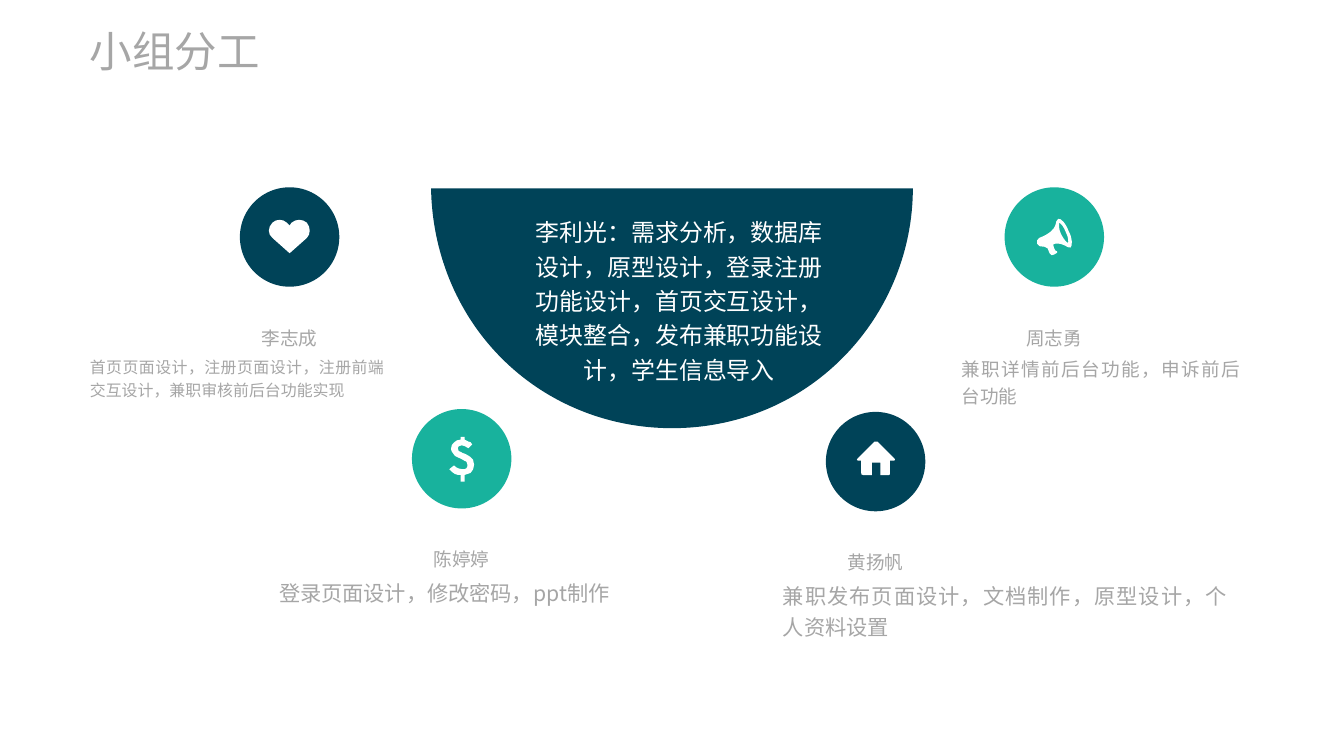
from dataclasses import dataclass

from lxml.etree import SubElement
from pptx import Presentation
from pptx.dml.color import RGBColor
from pptx.enum.lang import MSO_LANGUAGE_ID
from pptx.enum.shapes import MSO_SHAPE
from pptx.enum.text import MSO_ANCHOR, MSO_AUTO_SIZE, PP_ALIGN
from pptx.oxml.ns import qn
from pptx.util import Inches, Pt

COLORS = {"navy": "004358", "teal": "18B29D", "white": "FFFFFF", "gray": "A6A6A6"}
CJK_FONT = "Noto Sans CJK SC"
DISC_SIZE = 1.04

# Outlines: move (M), line (L) and curve (C) commands in hundredths of an inch
HALF_DISC = ("M 252 251 C 317 251 381 227 430 178 C 479 129 504 64 504 0 L 0 0 "
             "C 1 64 25 129 74 178 C 123 227 188 251 252 251")
HEART = ("M 70 37 C 65 33 59 33 54 37 L 52 40 L 49 37 C 45 33 38 33 34 37 "
         "C 29 42 29 49 34 53 L 52 69 L 70 53 C 74 49 74 42 70 37")
HOUSE = ("M 72 49 L 54 31 C 53 31 52 31 51 31 L 33 49 C 32 50 32 51 34 51 L 37 51 "
         "L 37 64 C 37 65 37 66 39 66 L 48 66 L 48 53 L 57 53 L 57 66 L 66 66 "
         "C 67 66 67 65 67 64 L 67 51 L 71 51 C 72 51 73 50 72 49")
DOLLAR = ("M 63 37 L 59 41 C 56 39 54 38 52 38 C 51 38 50 38 49 39 C 48 40 48 41 48 41 "
          "C 48 42 48 43 49 44 C 50 44 51 45 53 46 C 57 47 59 49 61 50 "
          "C 62 51 63 52 64 53 C 64 55 65 57 65 58 C 65 60 64 62 64 63 "
          "C 63 65 62 66 61 67 C 59 68 58 69 55 69 L 55 76 L 51 76 L 51 69 "
          "C 49 69 47 69 45 68 C 43 67 41 65 39 63 L 44 59 C 47 62 50 63 53 63 "
          "C 54 63 56 63 57 62 C 58 61 58 60 58 58 C 58 57 58 56 57 55 "
          "C 56 55 55 54 53 53 C 49 51 47 50 45 49 C 44 48 43 46 42 45 "
          "C 41 44 41 42 41 41 C 41 39 42 36 44 35 C 46 33 48 32 51 32 "
          "L 51 29 L 55 29 L 55 32 C 57 33 58 33 59 34 C 61 34 62 35 63 37")
MEGAPHONE = ("M 66 58 C 66 59 62 55 59 49 C 56 43 57 38 57 37 C 58 37 62 41 64 47 "
             "C 67 53 67 58 66 58 M 67 46 C 64 38 59 32 56 33 C 51 35 59 44 36 53 "
             "C 34 54 33 57 34 59 C 35 61 38 63 40 62 L 41 62 C 43 64 44 62 45 64 "
             "C 45 65 47 68 47 69 C 48 70 49 71 49 71 C 50 71 53 70 54 69 "
             "C 55 69 55 68 55 67 C 54 67 53 66 53 66 C 52 65 51 62 51 61 "
             "C 50 60 51 59 53 59 C 63 58 65 64 69 63 C 71 61 71 53 67 46")


@dataclass(frozen=True)
class Member:
    name: str
    duty: str
    icon: str
    color: str
    left: float
    top: float
    duty_left: float
    duty_width: float
    duty_height: float
    duty_size: int


MEMBERS = [
    Member("李志成", "首页页面设计，注册页面设计，注册前端交互设计，兼职审核前后台功能实现",
           HEART, "navy", 2.51, 1.96, 0.94, 3.08, 0.48, 12),
    Member("陈婷婷", "登录页面设计，修改密码，ppt制作",
           DOLLAR, "teal", 4.31, 4.28, 2.92, 3.55, 0.32, 16),
    Member("黄扬帆", "兼职发布页面设计，文档制作，原型设计，个人资料设置",
           HOUSE, "navy", 8.64, 4.31, 8.19, 4.65, 0.65, 16),
    Member("周志勇", "兼职详情前后台功能，申诉前后台功能",
           MEGAPHONE, "teal", 10.51, 1.96, 10.06, 2.92, 0.56, 14),
]


def paint(shape, color: str) -> None:
    shape.shadow.inherit = False
    shape.fill.solid()
    shape.fill.fore_color.rgb = RGBColor.from_string(COLORS[color])
    shape.line.fill.background()


def draw_outline(page, outline: str, left: float, top: float, color: str) -> None:
    builder = None
    for contour in outline.split("M")[1:]:
        numbers = [Inches(int(word) / 100) for word in contour.split() if word.isdigit()]
        start, *points = zip(numbers[::2], numbers[1::2])
        if builder is None:
            builder = page.shapes.build_freeform(*start)
        else:
            builder.move_to(*start)
        builder.add_line_segments(points, close=True)
    shape = builder.convert_to_shape(Inches(left), Inches(top))

    # Join each three points of a curve command into one Bézier segment
    segments = iter(list(shape.element.iter(qn("a:lnTo"))))
    for command in outline.split():
        if command == "L":
            next(segments)
        elif command == "C":
            curve = next(segments)
            curve.tag = qn("a:cubicBezTo")
            for segment in (next(segments), next(segments)):
                curve.append(segment[0])
                segment.getparent().remove(segment)
    paint(shape, color)


def write(box, text: str, size: int, color: str, align: PP_ALIGN,
          anchor: MSO_ANCHOR = MSO_ANCHOR.MIDDLE, font: str = CJK_FONT,
          spacing: float = 1.2) -> None:
    frame = box.text_frame
    frame_format = {"word_wrap": True, "auto_size": MSO_AUTO_SIZE.NONE, "vertical_anchor": anchor,
                    "margin_left": 0, "margin_top": 0, "margin_right": 0, "margin_bottom": 0}
    for key, value in frame_format.items():
        setattr(frame, key, value)
    para = frame.paragraphs[0]
    for key, value in {"alignment": align, "line_spacing": spacing, "space_before": Pt(0)}.items():
        setattr(para, key, value)
    if box.is_placeholder:
        properties = para._p.get_or_add_pPr()
        properties.set("marL", "0")
        properties.set("indent", "0")
        SubElement(properties, qn("a:buNone"))
    span = para.add_run()
    span.text = text
    font_format = {"size": Pt(size), "name": font,
                   "language_id": MSO_LANGUAGE_ID.SIMPLIFIED_CHINESE}
    for key, value in font_format.items():
        setattr(span.font, key, value)
    span.font.color.rgb = RGBColor.from_string(COLORS[color])
    SubElement(span._r.get_or_add_rPr(), qn("a:ea")).set("typeface", font)


def place(box, left: float, top: float, width: float, height: float) -> None:
    for key, value in {"left": left, "top": top, "width": width, "height": height}.items():
        setattr(box, key, Inches(value))


def draw_member(page, member: Member) -> None:
    # Disc and icon
    disc = page.shapes.add_shape(MSO_SHAPE.OVAL, Inches(member.left), Inches(member.top),
                                 Inches(DISC_SIZE), Inches(DISC_SIZE))
    paint(disc, member.color)
    draw_outline(page, member.icon, member.left, member.top, "white")
    # Name and duty
    name_box = page.shapes.add_textbox(Inches(member.left - 0.33), Inches(member.top + 1.41),
                                       Inches(1.7), Inches(0.28))
    write(name_box, member.name, 14, "gray", PP_ALIGN.CENTER)
    duty_box = page.shapes.add_textbox(Inches(member.duty_left), Inches(member.top + 1.74),
                                       Inches(member.duty_width), Inches(member.duty_height))
    write(duty_box, member.duty, member.duty_size, "gray", PP_ALIGN.JUSTIFY, MSO_ANCHOR.TOP)


def main() -> None:
    deck = Presentation()
    deck.slide_width, deck.slide_height = Inches(14.06), Inches(7.91)
    page = deck.slides.add_slide(deck.slide_layouts[1])

    # Title
    title = page.shapes.title
    place(title, 0.94, 0.26, 4.32, 0.54)
    write(title, "小组分工", 32, "gray", PP_ALIGN.LEFT, font="Arial", spacing=1.0)

    # Leader: half disc with the body text in front
    draw_outline(page, HALF_DISC, 4.51, 1.97, "navy")
    leader = page.placeholders[1]
    place(leader, 5.56, 2.21, 3.09, 1.82)
    write(leader, "李利光：需求分析，数据库设计，原型设计，登录注册功能设计，首页交互设计，"
                  "模块整合，发布兼职功能设计，学生信息导入", 18, "white", PP_ALIGN.CENTER)
    page.shapes.element.append(leader.element)

    # Members
    for member in MEMBERS:
        draw_member(page, member)

    deck.save("out.pptx")


if __name__ == "__main__":
    main()
